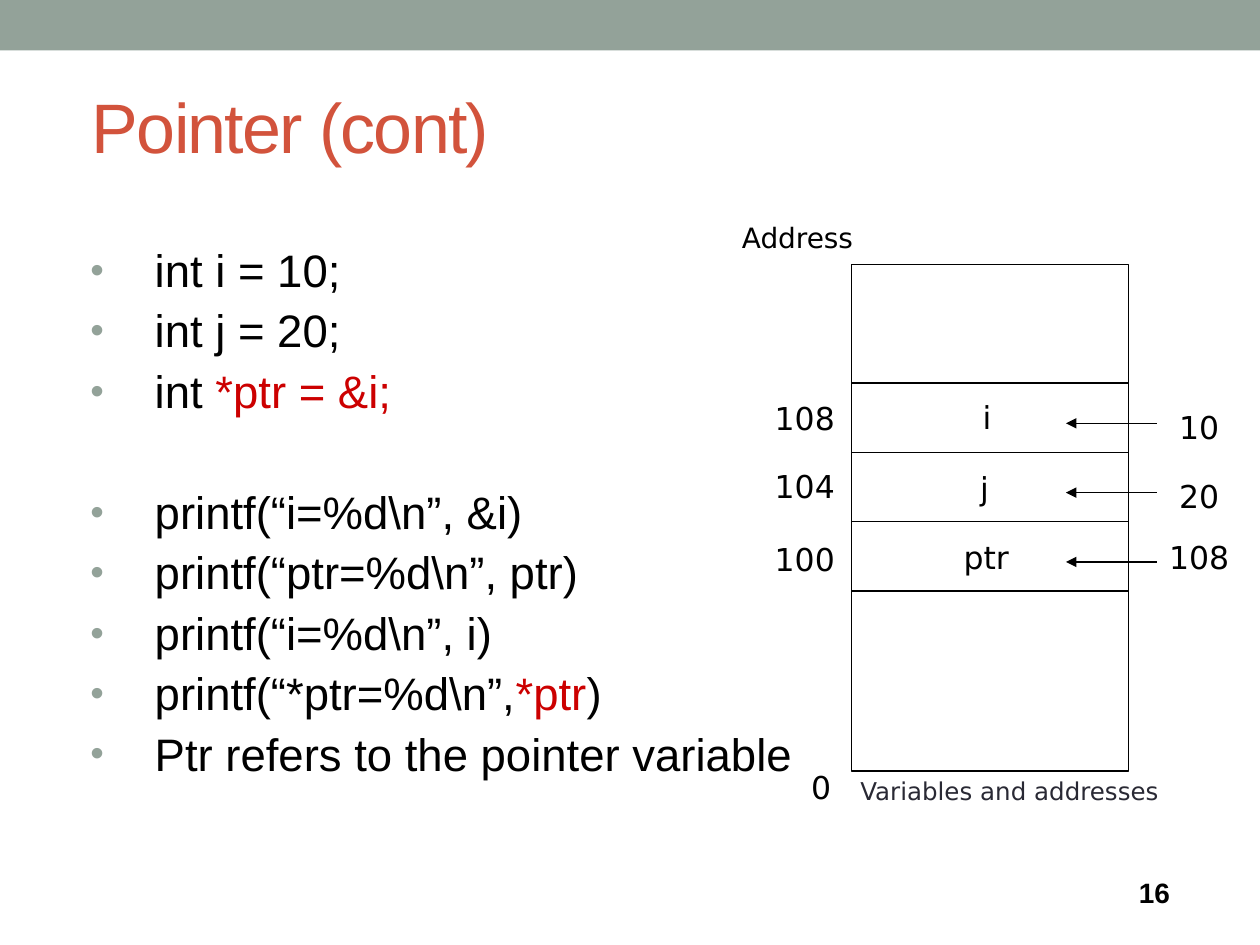
from lxml import etree
from pptx import Presentation
from pptx.dml.color import RGBColor
from pptx.enum.shapes import MSO_CONNECTOR, MSO_SHAPE
from pptx.enum.text import MSO_ANCHOR, PP_ALIGN
from pptx.oxml.ns import qn
from pptx.util import Inches, Pt

RECT = MSO_SHAPE.RECTANGLE
LINE = MSO_CONNECTOR.STRAIGHT
MIDDLE = MSO_ANCHOR.MIDDLE
TOP = MSO_ANCHOR.TOP
LEFT = PP_ALIGN.LEFT

SANS, MONO = "Arial", "DejaVu Sans"
BLACK, RED, SAGE, RUST, DARK = "000000", "CC0000", "93A299", "D2533C", "292934"


def color(code):
    return RGBColor.from_string(code)


class Deck:
    """Holds the style and the current slide."""

    def __init__(self):
        self.prs = Presentation()
        self.prs.slide_width = Inches(10)
        self.prs.slide_height = Inches(7.5)
        self.slide = self.prs.slides.add_slide(self.prs.slide_layouts[5])
        self.shapes = self.slide.shapes

    def run(self, para, text, size, font=MONO, ink=BLACK, bold=False):
        run = para.add_run()
        run.text = text
        run.font.size = Pt(size)
        run.font.name = font
        run.font.bold = bold
        run.font.color.rgb = color(ink)
        return run

    def title(self, text, x, y, w, h):
        box = self.shapes.title
        box.left, box.top = Inches(x), Inches(y)
        box.width, box.height = Inches(w), Inches(h)
        box.text_frame.vertical_anchor = MIDDLE
        para = box.text_frame.paragraphs[0]
        para.alignment = LEFT
        run = self.run(para, text, 40, SANS, RUST)
        run.font._element.set("spc", "-100")

    def rect(self, x, y, w, h, fill=None):
        box = self.shapes.add_shape(
            RECT, Inches(x), Inches(y), Inches(w), Inches(h))
        box.shadow.inherit = False
        if fill:
            box.fill.solid()
            box.fill.fore_color.rgb = color(fill)
            box.line.fill.background()
        else:
            box.fill.background()
            box.line.color.rgb = color(BLACK)
            box.line.width = Pt(0.75)

    def frame(self, x, y, w, h, wrap=False, anchor=TOP):
        box = self.shapes.add_textbox(
            Inches(x), Inches(y), Inches(w), Inches(h))
        box.text_frame.word_wrap = wrap
        box.text_frame.vertical_anchor = anchor
        return box.text_frame

    def label(self, text, x, y, w, h=0.4, size=18, ink=BLACK):
        self.run(self.frame(x, y, w, h).paragraphs[0], text, size, ink=ink)

    def bullet(self, para):
        props = para._p.get_or_add_pPr()
        props.set("marL", str(Inches(0.51)))
        props.set("indent", str(-Inches(0.51)))
        tint = etree.SubElement(props, qn("a:buClr"))
        etree.SubElement(tint, qn("a:srgbClr"), val=SAGE)
        etree.SubElement(props, qn("a:buSzPct"), val="85000")
        etree.SubElement(props, qn("a:buFont"), typeface=SANS)
        etree.SubElement(props, qn("a:buChar"), char="•")

    def code(self, lines, x, y, w, h):
        frame = self.frame(x, y, w, h, wrap=True)
        for i, (gap, parts) in enumerate(lines):
            para = frame.add_paragraph() if i else frame.paragraphs[0]
            self.bullet(para)
            para.line_spacing = 0.9
            para.space_before = Pt(gap)
            for text, ink in parts:
                self.run(para, text, 26, SANS, ink)

    def arrow(self, x1, x2, y):
        line = self.shapes.add_connector(
            LINE, Inches(x1), Inches(y), Inches(x2), Inches(y))
        line.line.color.rgb = color(BLACK)
        line.line.width = Pt(0.75)
        etree.SubElement(line.line._get_or_add_ln(), qn("a:tailEnd"),
                         type="triangle")
        etree.SubElement(line._element.spPr, qn("a:effectLst"))

    def number(self, text, x, y, w, h):
        frame = self.frame(x, y, w, h, anchor=MIDDLE)
        self.run(frame.paragraphs[0], text, 16, SANS, bold=True)


def main():
    deck = Deck()

    # Top bar and title
    deck.rect(0, 0, 10, 0.4, SAGE)
    deck.title("Pointer (cont)", 0.63, 0.33, 8.76, 1.34)

    # Code lines: space before, then coloured parts
    near, far = 6.5, 41
    deck.code([
        (0, [("int i = 10;", BLACK)]),
        (near, [("int j = 20;", BLACK)]),
        (near, [("int ", BLACK), ("*ptr = &i;", RED)]),
        (far, [("printf(“i=%d\\n”, &i)", BLACK)]),
        (near, [("printf(“ptr=%d\\n”, ptr)", BLACK)]),
        (near, [("printf(“i=%d\\n”, i)", BLACK)]),
        (near, [("printf(“*ptr=%d\\n”,", BLACK), ("*ptr", RED),
                (")", BLACK)]),
        (near, [("Ptr refers to the pointer variable", BLACK)]),
    ], 0.62, 1.92, 8.76, 4.67)

    # Memory block
    left, wide, cell, first = 6.76, 2.2, 0.55, 3.04
    deck.rect(left, 2.1, wide, 4.02)
    deck.label("Address", 5.79, 1.7, 1.09, 0.37, 16)
    deck.label("0", 6.34, 6.05, 0.36)
    deck.label("Variables and addresses", 6.73, 6.11, 2.57, 0.33, 14, DARK)

    # Cells: address, name and value, each as text, left, top, width
    cells = [
        [("108", 6.05, 3.12, 0.68), ("i", 7.7, 3.11, 0.27),
         ("10", 9.26, 3.19, 0.52)],
        [("104", 6.05, 3.66, 0.68), ("j", 7.68, 3.67, 0.28),
         ("20", 9.26, 3.74, 0.52)],
        [("100", 6.05, 4.24, 0.68), ("ptr", 7.55, 4.22, 0.56),
         ("108", 9.18, 4.22, 0.68)],
    ]
    for i, labels in enumerate(cells):
        top = first + i * cell
        deck.rect(left, top, wide, cell)
        deck.arrow(9.18, 8.46, top + 0.32)
        for item in labels:
            deck.label(*item)

    # Slide number
    deck.number("16", 8.94, 6.9, 0.71, 0.36)

    deck.prs.save("out.pptx")


if __name__ == "__main__":
    main()
